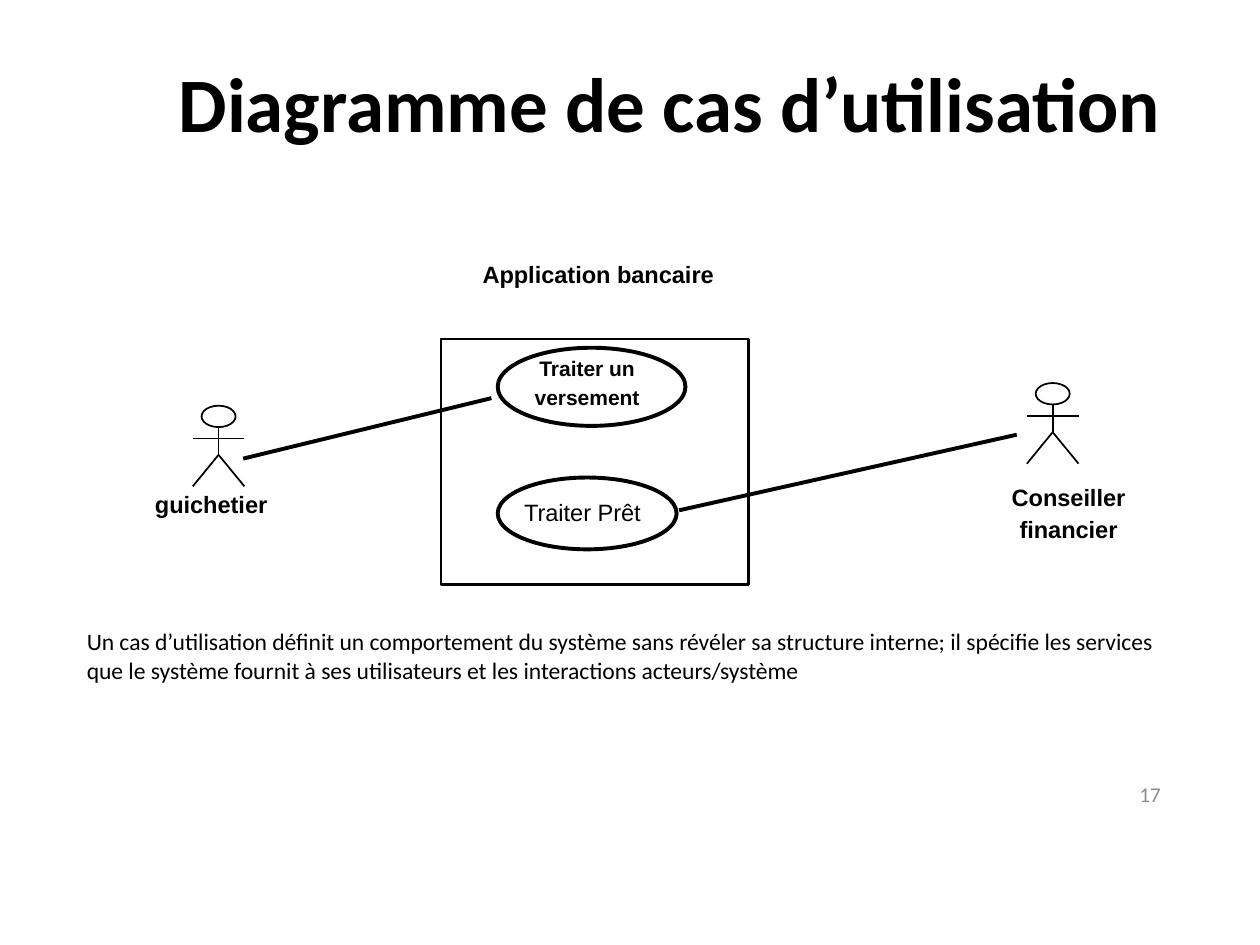
from lxml import etree
from pptx import Presentation
from pptx.dml.color import RGBColor
from pptx.enum.shapes import MSO_CONNECTOR, MSO_SHAPE
from pptx.enum.text import MSO_ANCHOR, PP_ALIGN
from pptx.oxml.ns import qn
from pptx.util import Inches, Pt

BLACK = RGBColor(0x00, 0x00, 0x00)
WHITE = RGBColor(0xFF, 0xFF, 0xFF)
GRAY = RGBColor(0x8C, 0x8C, 0x8C)
OVAL, RECTANGLE = MSO_SHAPE.OVAL, MSO_SHAPE.RECTANGLE
STRAIGHT = MSO_CONNECTOR.STRAIGHT
LEFT, CENTER, RIGHT = PP_ALIGN.LEFT, PP_ALIGN.CENTER, PP_ALIGN.RIGHT
TOP, MIDDLE = MSO_ANCHOR.TOP, MSO_ANCHOR.MIDDLE


def add_text(slide, box, lines, size=13.5, font="Calibri", color=BLACK, bold=False,
             align=LEFT, anchor=TOP, insets=(0.1, 0.05), wrap=True, spacing=None, gap=0):
    """Place lines of text, one paragraph each, in a box given in inches."""
    frame = slide.shapes.add_textbox(*map(Inches, box)).text_frame
    frame.word_wrap = wrap
    frame.vertical_anchor = anchor
    frame.margin_left = frame.margin_right = Inches(insets[0])
    frame.margin_top = frame.margin_bottom = Inches(insets[1])
    for index, line in enumerate(lines):
        paragraph = frame.add_paragraph() if index else frame.paragraphs[0]
        paragraph.alignment = align
        if spacing:
            paragraph.line_spacing = spacing
        if index:
            paragraph.space_before = Pt(gap)
        run = paragraph.add_run()
        run.text = line
        run.font.size = Pt(size)
        run.font.name = font
        run.font.bold = bold
        run.font.color.rgb = color


def add_label(slide, box, *lines, bold=True, size=13.5, align=LEFT):
    """Place a diagram label on one or more lines."""
    add_text(slide, box, lines, size=size, font="Arial", bold=bold, align=align,
             insets=(0.08, 0.04), wrap=False, spacing=0.93, gap=size / 4)


def add_outline(shapes, kind, box, width, fill=None):
    """Draw an outlined shape, hollow unless a fill is given."""
    outline = shapes.add_shape(kind, *map(Inches, box))
    outline.shadow.inherit = False
    if fill is None:
        outline.fill.background()
    else:
        outline.fill.solid()
        outline.fill.fore_color.rgb = fill
    outline.line.color.rgb = BLACK
    outline.line.width = Pt(width)


def add_line(shapes, start, end, width):
    """Draw a straight black line between two points in inches."""
    line = shapes.add_connector(STRAIGHT, *map(Inches, (*start, *end)))
    line.line.color.rgb = BLACK
    line.line.width = Pt(width)
    etree.SubElement(line._element.spPr, qn("a:effectLst"))


def add_actor(slide, left, top, width=0.41, height=0.64):
    """Draw a grouped stick figure within its box."""
    shapes = slide.shapes.add_group_shape().shapes
    head_width, head_height = 0.27, 0.17
    center, right, bottom = left + width / 2, left + width, top + height
    neck, hip = (center, top + head_height), (center, top + 0.39)
    arms = top + 0.26
    add_outline(shapes, OVAL, (center - head_width / 2, top, head_width, head_height), 1, WHITE)
    for start, end in ((neck, hip), (hip, (left, bottom)), (hip, (right, bottom)),
                       ((left, arms), (right, arms))):
        add_line(shapes, start, end, 1)


def add_system(slide, left, top, width, height):
    """Draw the system frame with its title and two use cases."""
    add_outline(slide.shapes, RECTANGLE, (left, top, width, height), 1.5)
    add_label(slide, (left + 0.25, top - 0.65, 2.01, 0.29), "Application bancaire")
    add_outline(slide.shapes, OVAL, (left + 0.45, top + 0.07, 1.49, 0.62), 2.25)
    add_outline(slide.shapes, OVAL, (left + 0.45, top + 1.1, 1.42, 0.57), 2.25)
    add_label(slide, (left + 0.64, top + 0.11, 1.04, 0.49), "Traiter un", "versement",
              size=12, align=CENTER)
    add_label(slide, (left + 0.58, top + 1.24, 1.09, 0.29), "Traiter Prêt", bold=False)


def add_use_case_diagram(slide, left, top):
    """Place the system, its actors and their associations."""
    add_actor(slide, left + 0.38, top + 0.53)
    add_actor(slide, left + 7, top + 0.35)
    add_system(slide, left + 2.35, top, 2.44, 1.95)
    add_label(slide, (left, top + 1.18, 1.06, 0.29), "guichetier")
    add_label(slide, (left + 6.77, top + 1.12, 1.12, 0.54), "Conseiller", "financier", align=CENTER)
    add_line(slide.shapes, (left + 0.78, top + 0.95), (left + 2.75, top + 0.47), 2.25)
    add_line(slide.shapes, (left + 6.92, top + 0.76), (left + 4.24, top + 1.36), 2.25)


def main():
    """Build and save the slide."""
    deck = Presentation()
    deck.slide_width, deck.slide_height = Inches(10), Inches(7.5)
    slide = deck.slides.add_slide(deck.slide_layouts[6])
    add_text(slide, (1.07, 0.34, 8.5, 0.94), ["Diagramme de cas d’utilisation"], size=44,
             bold=True, align=CENTER, anchor=MIDDLE, insets=(0.07, 0.04))
    add_use_case_diagram(slide, 1.15, 2.69)
    add_text(slide, (0.59, 4.93, 8.98, 0.56), [
        "Un cas d’utilisation définit un comportement du système sans révéler sa structure "
        "interne; il spécifie les services que le système fournit à ses utilisateurs et les "
        "interactions acteurs/système"])
    add_text(slide, (7.06, 6.15, 2.25, 0.3), ["17"], size=12, color=GRAY, align=RIGHT,
             anchor=MIDDLE)
    deck.save("out.pptx")


if __name__ == "__main__":
    main()
